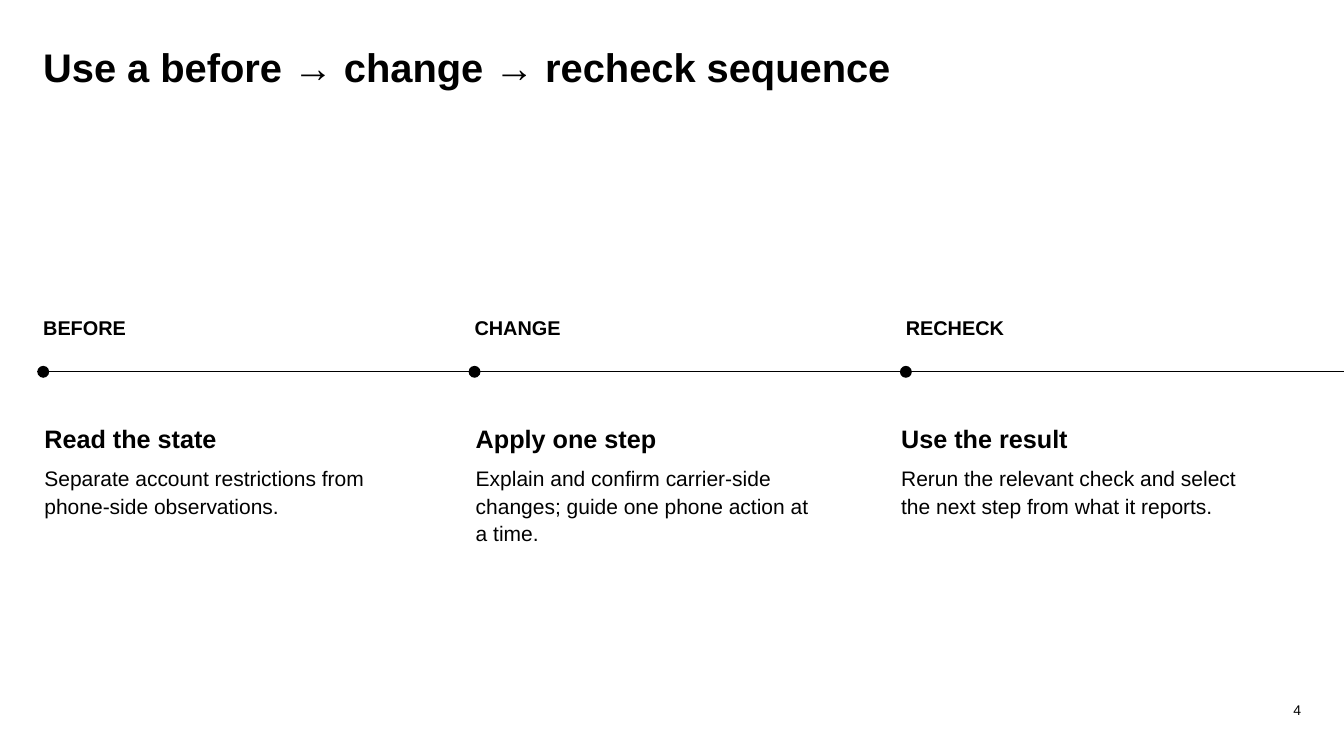
from lxml import etree
from pptx import Presentation
from pptx.dml.color import RGBColor
from pptx.enum import shapes, text
from pptx.oxml.ns import qn
from pptx.util import Cm, Pt

COLORS = {"ink": "000000", "paper": "FFFFFF"}
FONT = "Arial"

LEFT = 1.09    # margin of title and first label
START = 0.94   # left end of the timeline
PITCH = 10.87  # distance between steps
AXIS = 9.37    # height of the timeline
DOT = 0.3

# label, left of the body, heading, explanation
STEPS = [
    ("BEFORE", 1.12, "Read the state",
     "Separate account restrictions from phone-side observations."),
    ("CHANGE", 11.99, "Apply one step",
     "Explain and confirm carrier-side changes; guide one phone action at a time."),
    ("RECHECK", 22.71, "Use the result",
     "Rerun the relevant check and select the next step from what it reports."),
]


def color(name):
    return RGBColor.from_string(COLORS[name])


def write(para, words, size, bold=False, align=None, line=1.08, after=5):
    para.alignment = align
    para.line_spacing = line
    para.space_after = Pt(after)
    run = para.add_run()
    run.text = words
    font = run.font
    font.name, font.size, font.bold = FONT, Pt(size), bold
    font.color.rgb = color("ink")


class Page:
    """Holds the current slide and draws on it, with lengths in cm."""

    def __init__(self, slide):
        self.slide = slide
        fill = slide.background.fill
        fill.solid()
        fill.fore_color.rgb = color("paper")

    def text(self, x, y, w, h, *paras, anchor=text.MSO_ANCHOR.TOP):
        """Each paragraph is a dict of arguments for write()."""
        box = self.slide.shapes.add_textbox(Cm(x), Cm(y), Cm(w), Cm(h))
        frame = box.text_frame
        frame.word_wrap = True
        frame.vertical_anchor = anchor
        frame.margin_left = frame.margin_right = 0
        frame.margin_top = frame.margin_bottom = 0
        for i, args in enumerate(paras):
            write(frame.add_paragraph() if i else frame.paragraphs[0], **args)

    def line(self, x1, y1, x2, y2, width=0.75):
        line = self.slide.shapes.add_connector(
            shapes.MSO_CONNECTOR.STRAIGHT, Cm(x1), Cm(y1), Cm(x2), Cm(y2))
        line.line.color.rgb = color("ink")
        line.line.width = Pt(width)
        etree.SubElement(line._element.spPr, qn("a:effectLst"))

    def dot(self, x, y, size):
        dot = self.slide.shapes.add_shape(
            shapes.MSO_SHAPE.OVAL, Cm(x), Cm(y), Cm(size), Cm(size))
        dot.shadow.inherit = False
        dot.fill.solid()
        dot.fill.fore_color.rgb = color("ink")
        dot.line.fill.background()


def main():
    deck = Presentation()
    deck.slide_width, deck.slide_height = Cm(33.87), Cm(19.05)
    page = Page(deck.slides.add_slide(deck.slide_layouts[6]))

    page.text(31.34, 17.45, 1.45, 0.66,
              dict(words="4", size=10, align=text.PP_ALIGN.RIGHT, line=1, after=0),
              anchor=text.MSO_ANCHOR.BOTTOM)
    page.text(LEFT, 0.97, 31.67, 2.92,
              dict(words="Use a before → change → recheck sequence", size=28.5, bold=True))

    page.line(START, AXIS, 34.95, AXIS)
    for i, (label, left, head, body) in enumerate(STEPS):
        shift = i * PITCH
        page.dot(START + shift, AXIS - DOT / 2, DOT)
        page.text(LEFT + shift, 7.9, 4.47, 0.74,
                  dict(words=label, size=14.2, bold=True))
        page.text(left, 10.62, 8.76, 4.39,
                  dict(words=head, size=18, bold=True, after=7),
                  dict(words=body, size=15))

    deck.save("out.pptx")


if __name__ == "__main__":
    main()
